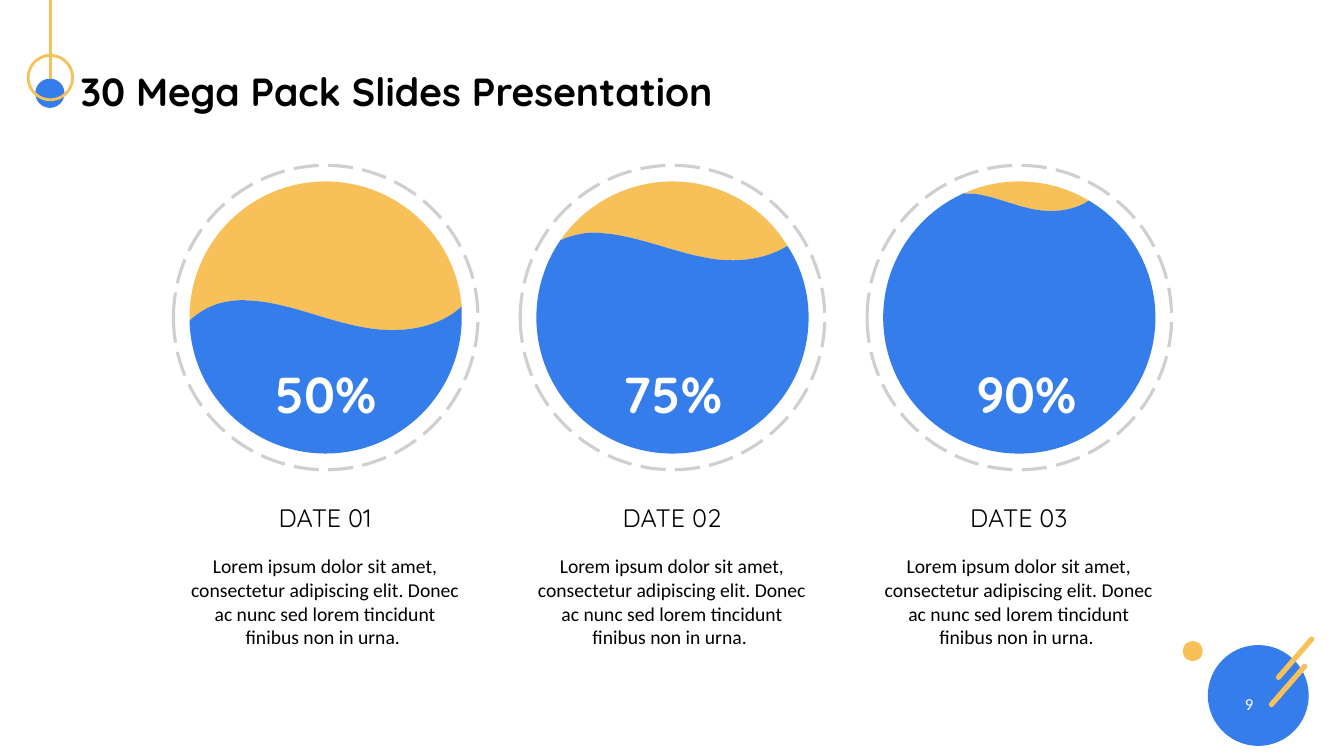
"""Build a slide with three wave-filled progress circles and captions."""
from math import atan2, cos, pi, sin, tan

from pptx import Presentation
from pptx.dml.color import RGBColor
from pptx.enum.dml import MSO_LINE
from pptx.enum.shapes import MSO_CONNECTOR, MSO_SHAPE
from pptx.enum.text import MSO_ANCHOR as ANCHOR, PP_ALIGN as ALIGN
from pptx.oxml.ns import qn
from pptx.util import Inches, Pt
from lxml import etree

COLORS = {"blue": "357DEA", "yellow": "F7C059", "grey": "D0CECE",
          "black": "000000", "white": "FFFFFF"}
RGB = {name: RGBColor.from_string(value) for name, value in COLORS.items()}
LOREM = ("Lorem ipsum dolor sit amet, consectetur adipiscing elit. "
         "Donec ac nunc sed lorem tincidunt finibus non in urna. ")
RADIUS, RING, CENTER_Y = 1.35, 1.51, 3.15
FIRST_X, PITCH = 3.23, 3.44

prs = Presentation()
prs.slide_width, prs.slide_height = Inches(13.33), Inches(7.5)
s = prs.slides.add_slide(prs.slide_layouts[5])


def add_oval(x, y, size, fill=None, line=None, width=2):
    sp = s.shapes.add_shape(MSO_SHAPE.OVAL, *map(Inches, (x, y, size, size)))
    sp.shadow.inherit = False
    if fill:
        sp.fill.solid()
        sp.fill.fore_color.rgb = RGB[fill]
    else:
        sp.fill.background()
    if line:
        sp.line.color.rgb = RGB[line]
        sp.line.width = Pt(width)
    else:
        sp.line.fill.background()
    return sp


def set_text(sp, text, size, font, color, align, anchor, bold=False, inset=0):
    tf = sp.text_frame
    tf.word_wrap = True
    tf.vertical_anchor = anchor
    tf.margin_left = tf.margin_right = Inches(inset)
    tf.margin_top = tf.margin_bottom = Inches(inset / 2)
    p = tf.paragraphs[0]
    p.text = text
    p.alignment = align
    p.font.size, p.font.name, p.font.bold = Pt(size), font, bold
    p.font.color.rgb = RGB[color]
    return p


add_oval(11.98, 6.4, 1, "blue")
add_oval(11.73, 6.36, 0.2, "yellow")
add_oval(0.35, 0.78, 0.29, "blue")
add_oval(0.28, 0.55, 0.44, line="yellow")

for x1, y1, x2, y2, width in [(13.01, 6.34, 12.68, 6.72, 3.75),
                              (12.94, 6.61, 12.61, 6.99, 3.75),
                              (0.5, 0, 0.5, 0.78, 2)]:
    cxn = s.shapes.add_connector(MSO_CONNECTOR.STRAIGHT, *map(Inches, (x1, y1, x2, y2)))
    cxn.line.color.rgb = RGB["yellow"]
    cxn.line.width = Pt(width)
    if width > 2:
        cxn.line._get_or_add_ln().set("cap", "rnd")
    etree.SubElement(cxn._element.spPr, qn("a:effectLst"))

title = s.shapes.title
title.left, title.top, title.width, title.height = map(Inches, (0.8, 0.72, 11.73, 0.42))
p = set_text(title, "30 Mega Pack Slides Presentation", 28, "Quicksand", "black",
             ALIGN.LEFT, ANCHOR.MIDDLE, bold=True)
p.line_spacing = 0.9

number = s.shapes.add_textbox(*map(Inches, (9.53, 6.78, 3, 0.4)))
set_text(number, "9", 12, "Calibri", "white", ALIGN.RIGHT, ANCHOR.MIDDLE, inset=0.1)

gauges = [
    ("50%", 2.43, [(1.88, 3.18), (1.99, 3.08), (2.12, 3.01), (2.27, 2.99),
                   (2.37, 2.97), (2.47, 2.98), (2.57, 2.99),
                   (2.92, 3.03), (3.26, 3.19), (3.62, 3.25),
                   (3.95, 3.31), (4.33, 3.27), (4.58, 3.04)]),
    ("75%", 5.87, [(5.57, 2.38), (5.63, 2.35), (5.7, 2.33), (5.77, 2.32),
                   (5.85, 2.3), (5.95, 2.31), (6.04, 2.32),
                   (6.37, 2.36), (6.68, 2.5), (7.02, 2.56),
                   (7.28, 2.61), (7.59, 2.58), (7.81, 2.44)]),
    ("90%", 9.38, [(9.57, 1.92), (9.59, 1.92), (9.61, 1.92), (9.64, 1.92),
                   (9.85, 1.94), (10.05, 2.04), (10.27, 2.08),
                   (10.45, 2.11), (10.65, 2.09), (10.8, 1.99)]),
]

for i, (percent, percent_x, wave) in enumerate(gauges):
    cx = FIRST_X + i * PITCH
    ring = add_oval(cx - RING, CENTER_Y - RING, 2 * RING, line="grey", width=2.25)
    ring.line.dash_style = MSO_LINE.LONG_DASH

    right = atan2(wave[-1][1] - CENTER_Y, wave[-1][0] - cx)
    left = atan2(wave[0][1] - CENTER_Y, wave[0][0] - cx) % (2 * pi)
    for color, end in (("yellow", left - 2 * pi), ("blue", left)):
        low, high = sorted((right, end))
        quarters = [q * pi / 2 for q in range(-4, 5) if low < q * pi / 2 < high]
        angles = sorted([low, *quarters, high], reverse=end < right)
        outline = list(wave)
        for a, b in zip(angles, angles[1:]):
            k = 4 / 3 * tan((b - a) / 4)
            for x, y in ((cos(a) - k * sin(a), sin(a) + k * cos(a)),
                         (cos(b) + k * sin(b), sin(b) - k * cos(b)),
                         (cos(b), sin(b))):
                outline.append((cx + RADIUS * x, CENTER_Y + RADIUS * y))

        points = [(Inches(x), Inches(y)) for x, y in outline]
        builder = s.shapes.build_freeform(*points[0])
        builder.add_line_segments(points[1:])
        sp = builder.convert_to_shape()
        lines = list(sp._element.iter(qn("a:lnTo")))
        for first, second, third in zip(lines[::3], lines[1::3], lines[2::3]):
            first.tag = qn("a:cubicBezTo")
            for line in (second, third):
                first.append(line[0])
                line.getparent().remove(line)
        sp.shadow.inherit = False
        sp.fill.solid()
        sp.fill.fore_color.rgb = RGB[color]
        sp.line.fill.background()

    x = cx - RADIUS
    for text, box, size, font, color, anchor, bold in [
            (percent, (percent_x, 3.6, 1.6, 0.61), 36, "Quicksand", "white", ANCHOR.MIDDLE, True),
            (f"DATE 0{i + 1}", (x, 4.98, 2.69, 0.3), 18, "Quicksand", "black", ANCHOR.TOP, False),
            (LOREM, (x, 5.5, 2.69, 0.94), 14, "Calibri", "black", ANCHOR.TOP, False)]:
        tb = s.shapes.add_textbox(*map(Inches, box))
        set_text(tb, text, size, font, color, ALIGN.CENTER, anchor, bold)

prs.save("out.pptx")
